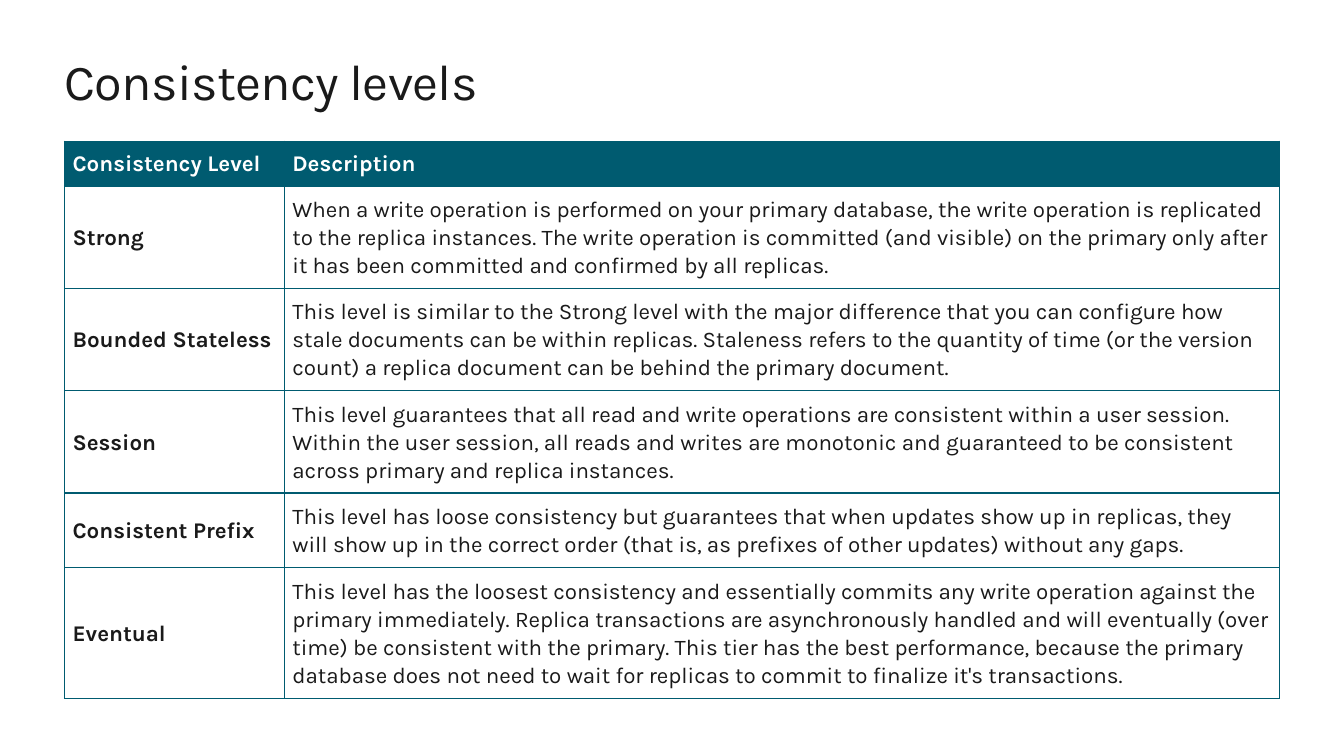
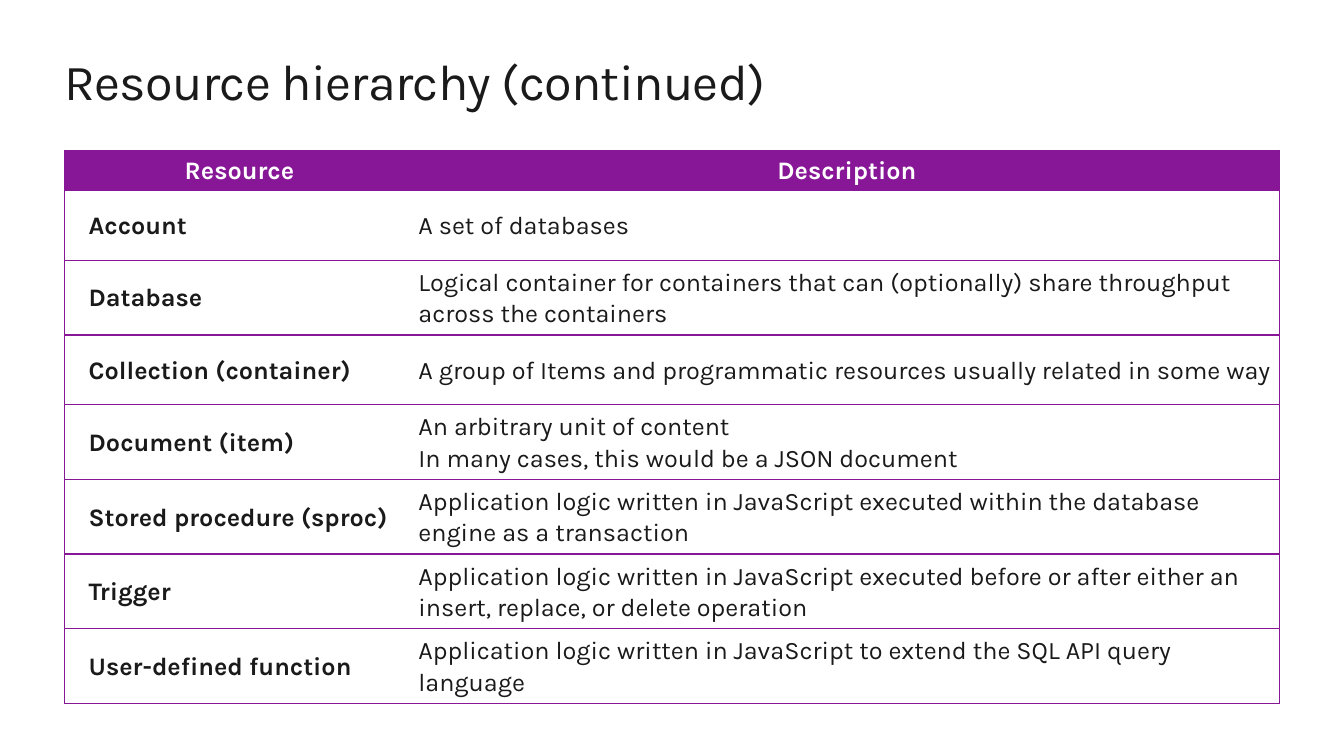
from lxml.etree import SubElement
from pptx import Presentation
from pptx.dml.color import RGBColor
from pptx.enum.text import MSO_ANCHOR as Anchor, PP_ALIGN as Align
from pptx.oxml.ns import qn
from pptx.util import Inches, Pt

COLORS = {"ink": "1A1A1A", "white": "FFFFFF", "teal": "005B70", "purple": "881798"}
SIDES = ("left", "right", "top", "bottom")
LEFT, WIDTH = 0.64, 12.05

LEVELS = [
    ("Consistency Level", "Description"),
    ("Strong",
     "When a write operation is performed on your primary database, the write operation is "
     "replicated to the replica instances. The write operation is committed (and visible) on the "
     "primary only after it has been committed and confirmed by all replicas."),
    ("Bounded Stateless",
     "This level is similar to the Strong level with the major difference that you can configure "
     "how stale documents can be within replicas. Staleness refers to the quantity of time (or "
     "the version count) a replica document can be behind the primary document."),
    ("Session",
     "This level guarantees that all read and write operations are consistent within a user "
     "session. Within the user session, all reads and writes are monotonic and guaranteed to be "
     "consistent across primary and replica instances."),
    ("Consistent Prefix",
     "This level has loose consistency but guarantees that when updates show up in replicas, they "
     "will show up in the correct order (that is, as prefixes of other updates) without any gaps."),
    ("Eventual",
     "This level has the loosest consistency and essentially commits any write operation against "
     "the primary immediately. Replica transactions are asynchronously handled and will "
     "eventually (over time) be consistent with the primary. This tier has the best performance, "
     "because the primary database does not need to wait for replicas to commit to finalize it's "
     "transactions."),
]

RESOURCES = [
    ("Resource", "Description"),
    ("Account", "A set of databases"),
    ("Database",
     "Logical container for containers that can (optionally) share throughput across the containers"),
    ("Collection (container)",
     "A group of Items and programmatic resources usually related in some way"),
    ("Document (item)",
     "An arbitrary unit of content\nIn many cases, this would be a JSON document"),
    ("Stored procedure (sproc)",
     "Application logic written in JavaScript executed within the database engine as a transaction"),
    ("Trigger",
     "Application logic written in JavaScript executed before or after either an insert, replace, "
     "or delete operation"),
    ("User-defined function",
     "Application logic written in JavaScript to extend the SQL API query language"),
]

LEVEL_STYLE = {
    "accent": "teal", "size": 16, "column_lines": True, "body_fill": None,
    "header": {"anchor": Anchor.MIDDLE, "align": Align.LEFT, "insets": (0.08,) * 4},
    "body": {"anchor": Anchor.MIDDLE, "align": Align.LEFT, "insets": (0.08,) * 4},
}
RESOURCE_STYLE = {
    "accent": "purple", "size": 18, "column_lines": False, "body_fill": "white",
    "header": {"anchor": Anchor.TOP, "align": Align.CENTER, "insets": (0.24, 0.04, 0.04, 0.04)},
    "body": {"anchor": Anchor.MIDDLE, "align": Align.LEFT, "insets": (0.24, 0.05, 0.05, 0.05)},
}


def set_all(target, values):
    for name, value in values.items():
        setattr(target, name, value)


class Deck:
    font_name = "Karla"
    line_spacing = 1.07
    border_width = Pt(1)

    def __init__(self):
        self.presentation = Presentation()
        set_all(self.presentation, {"slide_width": Inches(13.33), "slide_height": Inches(7.5)})
        self.slide = None

    def color(self, name):
        return RGBColor.from_string(COLORS[name])

    def new_slide(self, title):
        self.slide = self.presentation.slides.add_slide(self.presentation.slide_layouts[6])
        self.title(title)

    def add_text(self, paragraph, text, size, color, bold=False):
        run = paragraph.add_run()
        run.text = text
        set_all(run.font, {"name": self.font_name, "size": Pt(size), "bold": bold})
        run.font.color.rgb = self.color(color)
        return run

    def title(self, text):
        box = self.slide.shapes.add_textbox(Inches(LEFT), Inches(0.5), Inches(WIDTH), Inches(0.61))
        frame = box.text_frame
        set_all(frame, {"word_wrap": True, **{f"margin_{side}": 0 for side in SIDES}})
        run = self.add_text(frame.paragraphs[0], text, 36, "ink")
        run.font._element.set("spc", "-50")

    def borders(self, cell, color, visible):
        properties = cell._tc.get_or_add_tcPr()
        for side in SIDES:
            line = SubElement(properties, qn(f"a:ln{side[0].upper()}"), w=str(self.border_width))
            if side in visible:
                fill = SubElement(line, qn("a:solidFill"))
                SubElement(fill, qn("a:srgbClr"), val=COLORS[color])
            else:
                SubElement(line, qn("a:noFill"))

    def cell(self, cell, text, style, is_header, is_label):
        layout = style["header" if is_header else "body"]
        margins = {f"margin_{side}": Inches(inset) for side, inset in zip(SIDES, layout["insets"])}
        set_all(cell, {"vertical_anchor": layout["anchor"], **margins})
        outer_side = "left" if is_label else "right"
        visible = SIDES if style["column_lines"] else (outer_side, "top", "bottom")
        self.borders(cell, style["accent"], visible)
        fill = style["accent"] if is_header else style["body_fill"]
        if fill:
            cell.fill.solid()
            cell.fill.fore_color.rgb = self.color(fill)
        else:
            cell.fill.background()
        frame = cell.text_frame
        for index, line in enumerate(text.split("\n")):
            paragraph = frame.add_paragraph() if index else frame.paragraphs[0]
            set_all(paragraph, {"alignment": layout["align"], "line_spacing": self.line_spacing})
            self.add_text(paragraph, line, style["size"], "white" if is_header else "ink",
                          is_header or is_label)

    def table(self, top, label_width, heights, rows, style):
        frame = self.slide.shapes.add_table(
            len(rows), 2, Inches(LEFT), Inches(top), Inches(WIDTH), Inches(sum(heights)))
        table = frame.table
        table.horz_banding = False
        for column, width in zip(table.columns, (label_width, WIDTH - label_width)):
            column.width = Inches(width)
        for row_index, (height, texts) in enumerate(zip(heights, rows)):
            row = table.rows[row_index]
            row.height = Inches(height)
            for column_index, text in enumerate(texts):
                self.cell(row.cells[column_index], text, style, row_index == 0, column_index == 0)


def main():
    deck = Deck()
    deck.new_slide("Consistency levels")
    deck.table(1.4, 2.18, [0.43] + [0.98] * 3 + [0.74, 1.26], LEVELS, LEVEL_STYLE)
    deck.new_slide("Resource hierarchy (continued)")
    deck.table(1.49, 3.27, [0.36] + [0.69] * 7, RESOURCES, RESOURCE_STYLE)
    deck.presentation.save("out.pptx")


if __name__ == "__main__":
    main()
